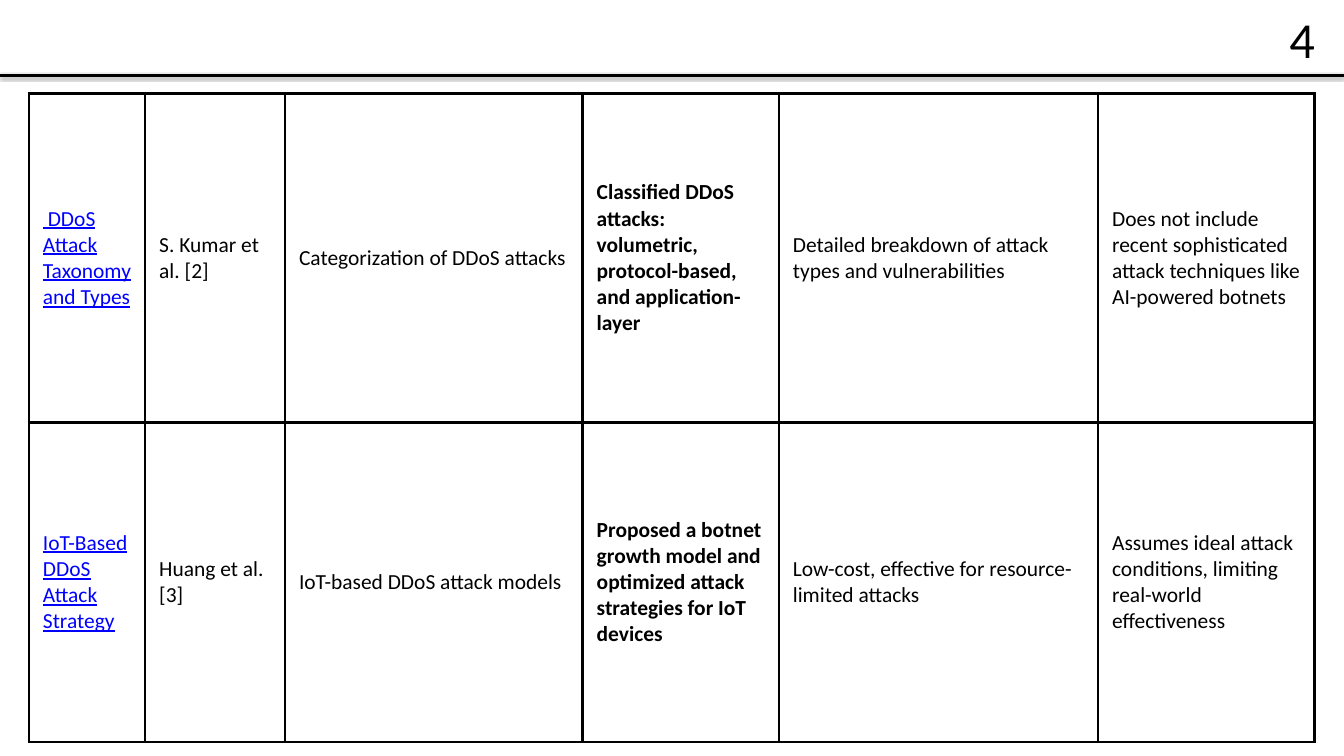
"""Build a literature comparison slide on DDoS attack studies."""
from dataclasses import dataclass

from lxml.etree import SubElement
from pptx import Presentation
from pptx.dml.color import RGBColor as Color
from pptx.enum.shapes import MSO_CONNECTOR as Connector
from pptx.enum.text import MSO_ANCHOR as Anchor, PP_ALIGN as Align
from pptx.oxml.ns import qn
from pptx.util import Pt


@dataclass(frozen=True)
class Theme:
    font: str = "Calibri"
    ink: str = "000000"
    paper: str = "FFFFFF"
    link: str = "0000FF"
    body_size: float = 23
    body_leading: float = 28
    number_size: float = 54
    rule: float = 3
    cell_inset: float = 15


class SlideBuilder:
    def __init__(self, theme, slide):
        self.theme = theme
        self.slide = slide

    def add_run(self, para, text, size, color, bold=False, underline=False):
        span = para.add_run()
        span.text = text
        font = span.font
        font.name = self.theme.font
        font.size = Pt(size)
        font.color.rgb = Color.from_string(color)
        font.bold = bold
        font.underline = underline

    def add_header_rule(self, top, width):
        rule = self.slide.shapes.add_connector(
            Connector.STRAIGHT, Pt(0), Pt(top), Pt(width), Pt(top))
        rule.line.color.rgb = Color.from_string(self.theme.ink)
        rule.line.width = Pt(self.theme.rule)
        effects = SubElement(rule._element.spPr, qn("a:effectLst"))
        shadow = SubElement(
            effects, qn("a:outerShdw"), blurRad=str(Pt(3.1)),
            dist=str(Pt(1.8)), dir="5400000", rotWithShape="0")
        color = SubElement(shadow, qn("a:srgbClr"), val=self.theme.ink)
        SubElement(color, qn("a:alpha"), val="35000")

    def add_page_number(self, text, left, top, width, height):
        box = self.slide.shapes.add_textbox(Pt(left), Pt(top), Pt(width), Pt(height))
        frame = box.text_frame
        frame.word_wrap = True
        frame.vertical_anchor = Anchor.MIDDLE
        para = frame.paragraphs[0]
        para.alignment = Align.RIGHT
        self.add_run(para, text, self.theme.number_size, self.theme.ink)

    def add_borders(self, cell):
        properties = cell._tc.get_or_add_tcPr()
        for side in ("lnL", "lnR", "lnT", "lnB"):
            border = SubElement(properties, qn(f"a:{side}"), w=str(Pt(self.theme.rule)))
            fill = SubElement(border, qn("a:solidFill"))
            SubElement(fill, qn("a:srgbClr"), val=self.theme.ink)

    def fill_cell(self, cell, text, linked, bold):
        theme = self.theme
        self.add_borders(cell)
        cell.fill.solid()
        cell.fill.fore_color.rgb = Color.from_string(theme.paper)
        cell.vertical_anchor = Anchor.MIDDLE
        inset = Pt(theme.cell_inset)
        cell.margin_left = cell.margin_right = inset
        cell.margin_top = cell.margin_bottom = inset
        para = cell.text_frame.paragraphs[0]
        para.line_spacing = Pt(theme.body_leading)
        color = theme.link if linked else theme.ink
        self.add_run(para, text, theme.body_size, color, bold, linked)

    def add_study_table(self, studies, left, top, widths, heights, link_column, bold_column):
        table = self.slide.shapes.add_table(
            len(heights), len(widths), Pt(left), Pt(top),
            Pt(sum(widths)), Pt(sum(heights))).table
        table.first_row = False
        table.horz_banding = False
        for column, width in zip(table.columns, widths):
            column.width = Pt(width)
        for row, height, study in zip(table.rows, heights, studies):
            row.height = Pt(height)
            for index, (cell, text) in enumerate(zip(row.cells, study)):
                self.fill_cell(cell, text, index == link_column, index == bold_column)


STUDIES = [
    (" DDoS Attack Taxonomy and Types",
     "S. Kumar et al. [2]",
     "Categorization of DDoS attacks",
     "Classified DDoS attacks: volumetric, protocol-based, and application-layer",
     "Detailed breakdown of attack types and vulnerabilities",
     "Does not include recent sophisticated attack techniques like AI-powered botnets"),
    ("IoT-Based DDoS Attack Strategy",
     "Huang et al. [3]",
     "IoT-based DDoS attack models",
     "Proposed a botnet growth model and optimized attack strategies for IoT devices",
     "Low-cost, effective for resource-limited attacks",
     "Assumes ideal attack conditions, limiting real-world effectiveness"),
]


def main():
    deck = Presentation()
    deck.slide_width, deck.slide_height = Pt(1440), Pt(810)
    page = SlideBuilder(Theme(), deck.slides.add_slide(deck.slide_layouts[6]))
    page.add_header_rule(top=80.7, width=1440)
    page.add_study_table(
        STUDIES, left=31, top=100,
        widths=[124.6, 149.8, 319, 210.2, 342, 231.8], heights=[352.8, 342],
        link_column=0, bold_column=3)
    page.add_page_number("4", left=1224, top=15, width=192, height=52.5)
    deck.save("out.pptx")


if __name__ == "__main__":
    main()
